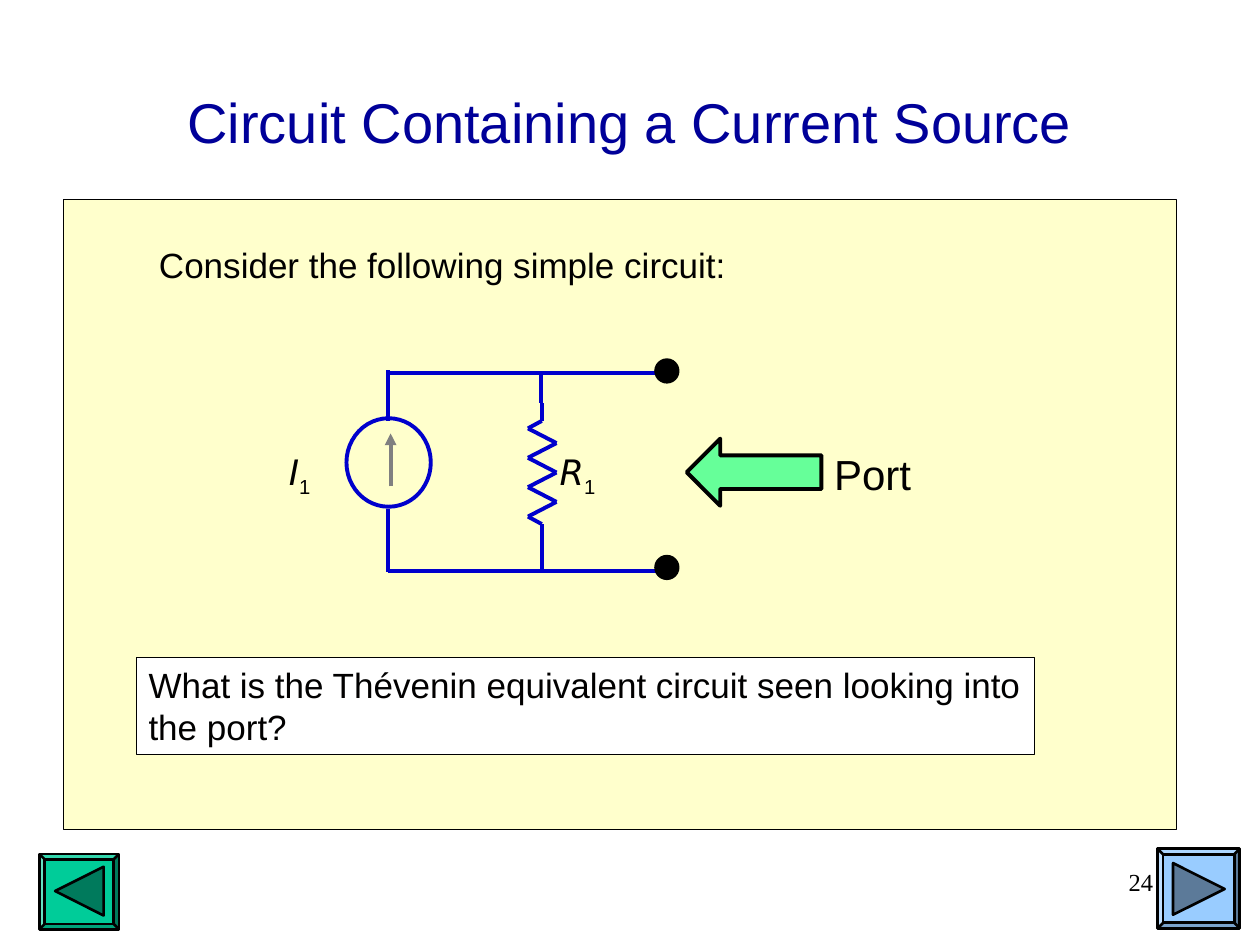
from itertools import pairwise

from lxml.etree import SubElement
from pptx import Presentation
from pptx.dml.color import RGBColor
from pptx.enum.shapes import MSO_CONNECTOR, MSO_SHAPE
from pptx.enum.text import MSO_ANCHOR, PP_ALIGN
from pptx.oxml.ns import qn
from pptx.util import Pt

COLORS = {
    "title": "000099", "text": "010000", "black": "000000", "white": "FFFFFF",
    "panel": "FFFFCC", "wire": "0000CC", "current": "808080", "port": "66FF99",
    "next": "99CCFF", "next_icon": "5C7A99", "back": "00CC99", "back_icon": "007A5C",
}
LEFT, CENTER, RIGHT = PP_ALIGN.LEFT, PP_ALIGN.CENTER, PP_ALIGN.RIGHT

TITLE = "Circuit Containing a Current Source"
INTRO = [("Consider the following simple circuit:", 20, "Arial", "")]
QUESTION = [
    ("What is the Thévenin equivalent circuit seen looking into", 20, "Arial", ""),
    ("the port?", 20, "Arial", "break"),
]
SOURCE_LABEL = [("I", 20, "DejaVu Sans", "italic"), ("1", 20, "Arial", "sub")]
RESISTOR_LABEL = [("R", 20, "DejaVu Sans", "italic"), ("1", 20, "Arial", "sub")]
PORT_LABEL = [("Port", 24, "Arial", "")]
PAGE_NUMBER = [("24", 14, "Times New Roman", "")]

BUTTONS = [
    ("next", (661.5, 485, 47, 45.5), [(670.3, 493.2), (699.8, 508), (670.3, 522.7)]),
    ("back", (22.5, 488, 45.5, 43), [(31.5, 509.2), (59.2, 495.3), (59.2, 523.2)]),
]

SOURCE_X, RESISTOR_X, WIRE_END = 221.8, 309.6, 383.8
TOP_WIRE, BOTTOM_WIRE = 213, 326.2
WIRES = [
    [(SOURCE_X, BOTTOM_WIRE), (WIRE_END, BOTTOM_WIRE)],
    [(SOURCE_X, TOP_WIRE), (WIRE_END, TOP_WIRE)],
    [(RESISTOR_X, 308.2), (RESISTOR_X, BOTTOM_WIRE)],
    [(RESISTOR_X - 0.6, 212.4), (RESISTOR_X - 0.6, 230.4)],
    [(SOURCE_X, 240.5), (SOURCE_X, 211.7)],
    [(SOURCE_X, 291), (SOURCE_X, 326.9)],
]
ZIGZAG = [(318 if turn % 2 else 301.7, 295.2 - 8.4 * turn) for turn in range(7)]
RESISTOR = [
    (RESISTOR_X, 309.6), (RESISTOR_X, 299.5), *ZIGZAG,
    (RESISTOR_X, 240.5), (RESISTOR_X, 230.4),
]
TERMINAL_SIZE = 12.2
TERMINAL_TOPS = (205.9, 318.2)

presentation = Presentation()
presentation.slide_width, presentation.slide_height = Pt(720), Pt(540)
slide = presentation.slides.add_slide(presentation.slide_layouts[5])


def rgb(name):
    return RGBColor.from_string(COLORS[name])


def paint(part, fill, line, width):
    if fill:
        part.fill.solid()
        part.fill.fore_color.rgb = rgb(fill)
    else:
        part.fill.background()
    part.line.color.rgb = rgb(line)
    part.line.width = Pt(width)


def add_part(kind, box, fill, line="black", width=2.25):
    part = slide.shapes.add_shape(kind, *map(Pt, box))
    part.shadow.inherit = False
    paint(part, fill, line, width)
    return part


def add_wire(start, end, color="wire", arrow=False):
    wire = slide.shapes.add_connector(MSO_CONNECTOR.STRAIGHT, *map(Pt, (*start, *end)))
    wire.line.color.rgb = rgb(color)
    wire.line.width = Pt(2.25)
    properties = wire._element.spPr
    if arrow:
        SubElement(properties.find(qn("a:ln")), qn("a:tailEnd"), type="triangle")
    SubElement(properties, qn("a:effectLst"))


def add_text(runs, box, align, color="text", wrap=False):
    label = slide.shapes.add_textbox(*map(Pt, box))
    label.text_frame.word_wrap = wrap
    paragraph = label.text_frame.paragraphs[0]
    paragraph.alignment = align
    for text, size, font, style in runs:
        if style == "break":
            paragraph.add_line_break()
        run = paragraph.add_run()
        run.text = text
        run.font.name, run.font.size = font, Pt(size)
        run.font.color.rgb = rgb(color)
        if style == "italic":
            run.font.italic = True
        if style == "sub":
            run._r.get_or_add_rPr().set("baseline", "-25000")
    return label


def add_button(name, box, corners):
    button = add_part(MSO_SHAPE.BEVEL, box, name, width=1.5)
    button.adjustments[0] = 0.07
    first, *others = corners
    builder = slide.shapes.build_freeform(*map(Pt, first))
    builder.add_line_segments([(Pt(x), Pt(y)) for x, y in others])
    icon = builder.convert_to_shape()
    icon.shadow.inherit = False
    paint(icon, f"{name}_icon", "black", 1.5)


title = slide.shapes.title
title.left, title.top, title.width, title.height = map(Pt, (54, 24, 612, 90))
title.text_frame.vertical_anchor = MSO_ANCHOR.MIDDLE
heading = title.text_frame.paragraphs[0]
heading.alignment = CENTER
heading_run = heading.add_run()
heading_run.text = TITLE
heading_run.font.name, heading_run.font.size = "Arial", Pt(32)
heading_run.font.color.rgb = rgb("title")

for name, box, corners in BUTTONS:
    add_button(name, box, corners)
add_text(PAGE_NUMBER, (516, 492, 150, 36), RIGHT, "black", True)

add_part(MSO_SHAPE.RECTANGLE, (36, 114, 636, 360), "panel", width=0.25)
add_text(INTRO, (83.8, 135.5, 338.4, 31.5), LEFT)

for start, end in [*pairwise(RESISTOR), *WIRES]:
    add_wire(start, end)
add_text(SOURCE_LABEL, (157.5, 254, 27.5, 34.5), CENTER)
add_text(RESISTOR_LABEL, (300, 254, 60, 34.5), CENTER, wrap=True)

for top in TERMINAL_TOPS:
    add_part(MSO_SHAPE.OVAL, (375, top, TERMINAL_SIZE, TERMINAL_SIZE), "black")

question = add_text(QUESTION, (77.8, 375.8, 513.4, 55.4), LEFT)
paint(question, "white", "black", 0.25)

add_text(PORT_LABEL, (469.5, 252.7, 58.3, 36), CENTER)
port_arrow = add_part(MSO_SHAPE.LEFT_ARROW, (392.4, 250.6, 77, 38.4), "port")
port_arrow.adjustments[0], port_arrow.adjustments[1] = 0.5, 0.5

add_part(MSO_SHAPE.OVAL, (198, 239, 48.2, 50.6), None, "wire")
add_wire((223.2, 278), (223.2, 247.7), "current", True)

presentation.save("out.pptx")
